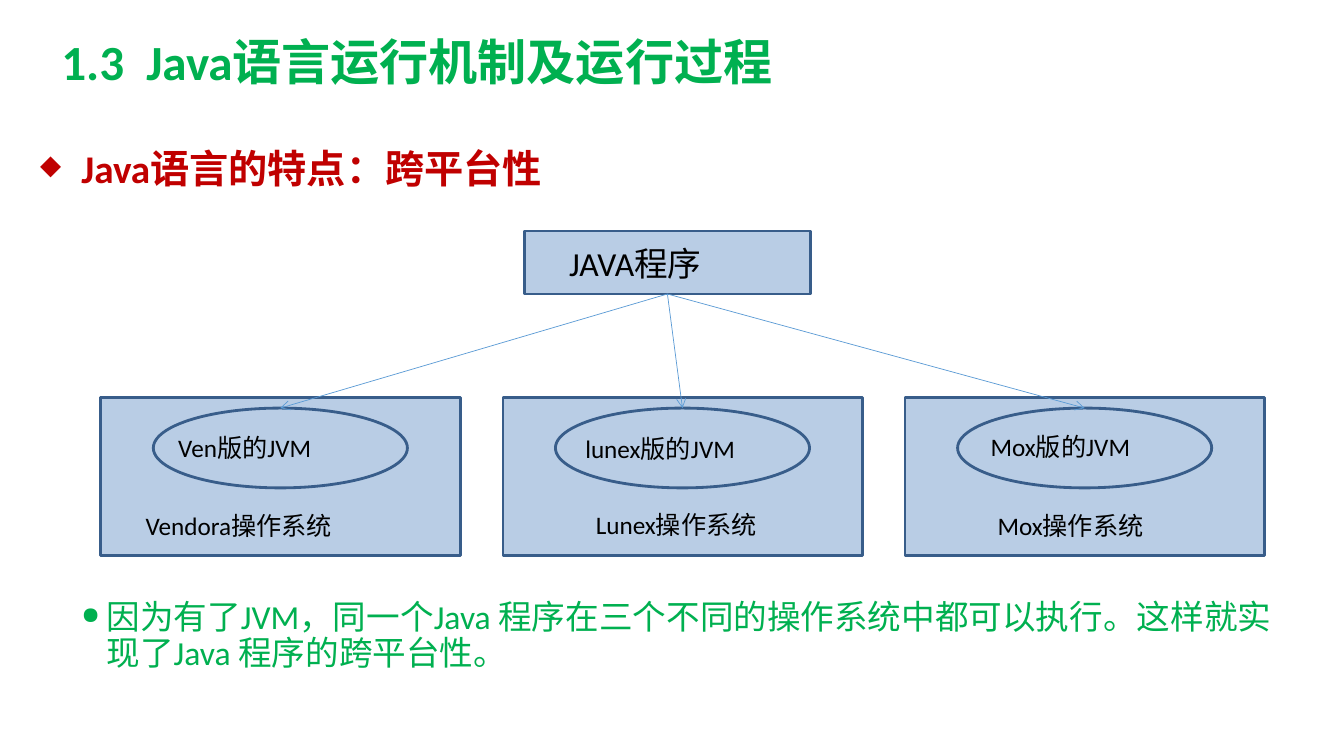
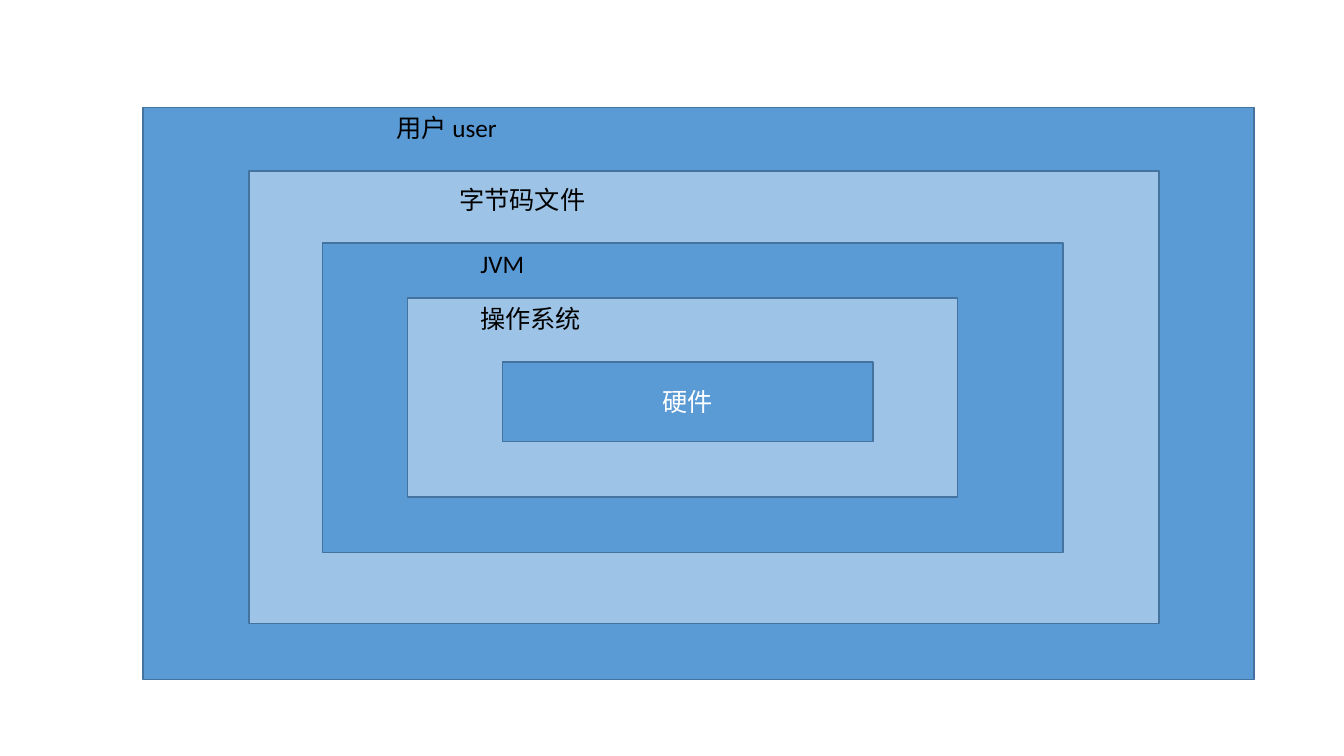
from lxml.etree import SubElement
from pptx import Presentation
from pptx.dml.color import RGBColor
from pptx.enum.shapes import MSO_CONNECTOR, MSO_SHAPE
from pptx.enum.text import MSO_ANCHOR, MSO_AUTO_SIZE, PP_ALIGN
from pptx.oxml.ns import qn
from pptx.util import Pt

HEX = {
    "green": "00B050", "red": "C00000", "black": "000000", "white": "FFFFFF",
    "pale": "B9CDE5", "navy": "385D8A",
    "blue": "5B9BD5", "light": "9DC3E6", "edge": "43739E",
}
RGB = {name: RGBColor.from_string(code) for name, code in HEX.items()}
FONT = "Calibri"
MID = {"vertical_anchor": MSO_ANCHOR.MIDDLE}
GROW = {"auto_size": MSO_AUTO_SIZE.SHAPE_TO_FIT_TEXT}


def draw(slide, kind, at, fill, edge, width):
    shape = slide.shapes.add_shape(kind, *map(Pt, at))
    shape.shadow.inherit = False
    shape.fill.solid()
    shape.fill.fore_color.rgb = RGB[fill]
    shape.line.color.rgb = RGB[edge]
    shape.line.width = Pt(width)
    return shape


def write(shape, text, size=18, color="black", bold=False, frame=GROW, para={}):
    body = shape.text_frame
    body.word_wrap = True
    line = body.paragraphs[0]
    run = line.add_run()
    run.text = text
    look = {"name": FONT, "size": Pt(size), "bold": bold}
    for part, form in ((body, frame), (line, para), (run.font, look)):
        for key, value in form.items():
            setattr(part, key, value)
    run.font.color.rgb = RGB[color]
    return line


deck = Presentation()
deck.slide_width, deck.slide_height = Pt(960), Pt(540)
blank = deck.slide_layouts[6]

# Slide 1: one program on three systems
slide = deck.slides.add_slide(blank)
title = slide.shapes.add_textbox(Pt(0), Pt(12.25), Pt(595.5), Pt(62.5))
write(title, "1.3  Java语言运行机制及运行过程", 35.1, "green", True, MID,
      {"alignment": PP_ALIGN.CENTER})

# Bulleted heading and conclusion: margin, indent and gap come last
points = [
    ((15, 103, 610.5, 45.5), "Java语言的特点：跨平台性",
     28, "red", True, "◆", 36, 29.5, 0),
    ((51, 425.5, 869, 71.5),
     "因为有了JVM，同一个Java 程序在三个不同的操作系统中都可以执行。这样就实现了Java 程序的跨平台性。",
     24, "green", False, "●", 18, 18, 10),
]
for at, text, size, color, bold, mark, left, dent, gap in points:
    box = slide.shapes.add_textbox(*map(Pt, at))
    line = write(box, text, size, color, bold, {},
                 {"line_spacing": 0.9, "space_before": Pt(gap)})
    props = line._p.get_or_add_pPr()
    props.set("marL", str(Pt(left)))
    props.set("indent", str(-Pt(dent)))
    SubElement(props, qn("a:buSzPct")).set("val", "70000")
    SubElement(props, qn("a:buChar")).set("char", mark)

# Program box
root = draw(slide, MSO_SHAPE.RECTANGLE, (374.5, 165, 204.5, 45), "pale", "navy", 2)
label = slide.shapes.add_textbox(Pt(399.5), Pt(170), Pt(188.5), Pt(36))
write(label, "JAVA程序", 24)

# Systems, each with its JVM: text and where it stands
systems = [
    ("Vendora操作系统", 97, 361.25, "Ven版的JVM", 120.25, 305.25),
    ("Lunex操作系统", 418.5, 360.5, "lunex版的JVM", 411, 306),
    ("Mox操作系统", 705.5, 361.25, "Mox版的JVM", 700.5, 304.5),
]
STEP = 287.25
for i, (host, hx, hy, jvm, jx, jy) in enumerate(systems):
    left = 72 + i * STEP
    draw(slide, MSO_SHAPE.RECTANGLE, (left, 284, 257, 113), "pale", "navy", 2)
    oval = draw(slide, MSO_SHAPE.OVAL, (left + 37.5, 291.5, 181.5, 57),
                "pale", "navy", 2)
    for text, x, y in ((host, hx, hy), (jvm, jx, jy)):
        label = slide.shapes.add_textbox(Pt(x), Pt(y), Pt(180), Pt(29))
        write(label, text)

    # Arrow from the program to the JVM
    arrow = slide.shapes.add_connector(MSO_CONNECTOR.STRAIGHT, 0, 0, 0, 0)
    arrow.begin_connect(root, 2)
    arrow.end_connect(oval, 0)
    arrow.line.color.rgb = RGB["blue"]
    arrow.line.width = Pt(0.5)
    SubElement(arrow.line._get_or_add_ln(), qn("a:tailEnd")).set("type", "arrow")
    SubElement(arrow._element.spPr, qn("a:effectLst"))

# Slide 2: nested layers, from the outside in
slide = deck.slides.add_slide(blank)
layers = [
    ((102.25, 77, 793.5, 408.5), "用户 user", (276, 77)),
    ((177.75, 122.25, 650, 323.25), "字节码文件", (321, 128)),
    ((230.25, 173.5, 529, 221), "JVM", (336, 173.5)),
    ((291, 213, 393, 142), "操作系统", (336, 213)),
    ((359, 258.5, 264.5, 57), "硬件", None),
]
for i, (at, text, spot) in enumerate(layers):
    layer = draw(slide, MSO_SHAPE.RECTANGLE, at, ("blue", "light")[i % 2], "edge", 1)
    if spot:
        label = slide.shapes.add_textbox(*map(Pt, spot), Pt(288), Pt(29))
        write(label, text)
    else:
        write(layer, text, color="white", frame=MID,
              para={"alignment": PP_ALIGN.CENTER})

deck.save("out.pptx")
